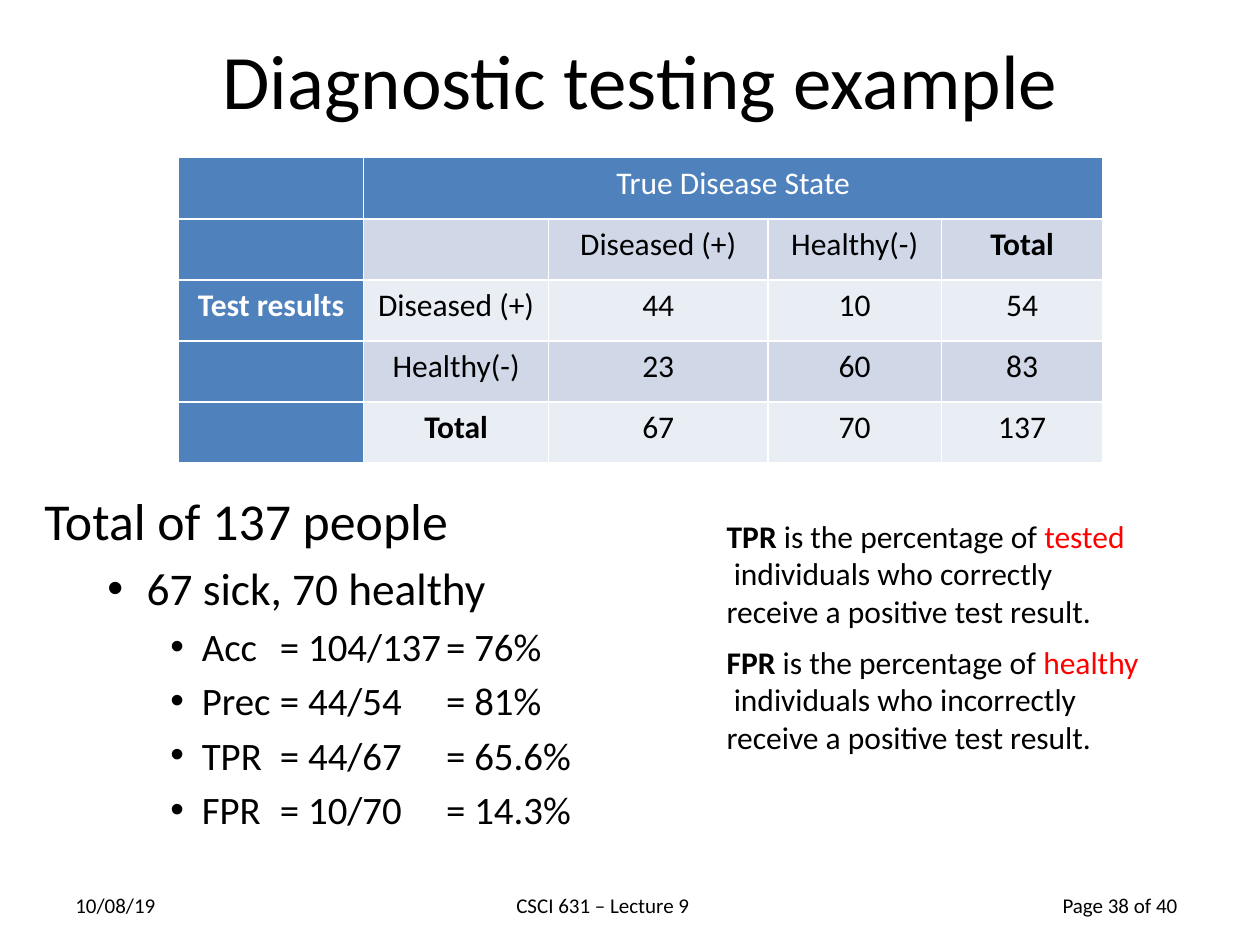
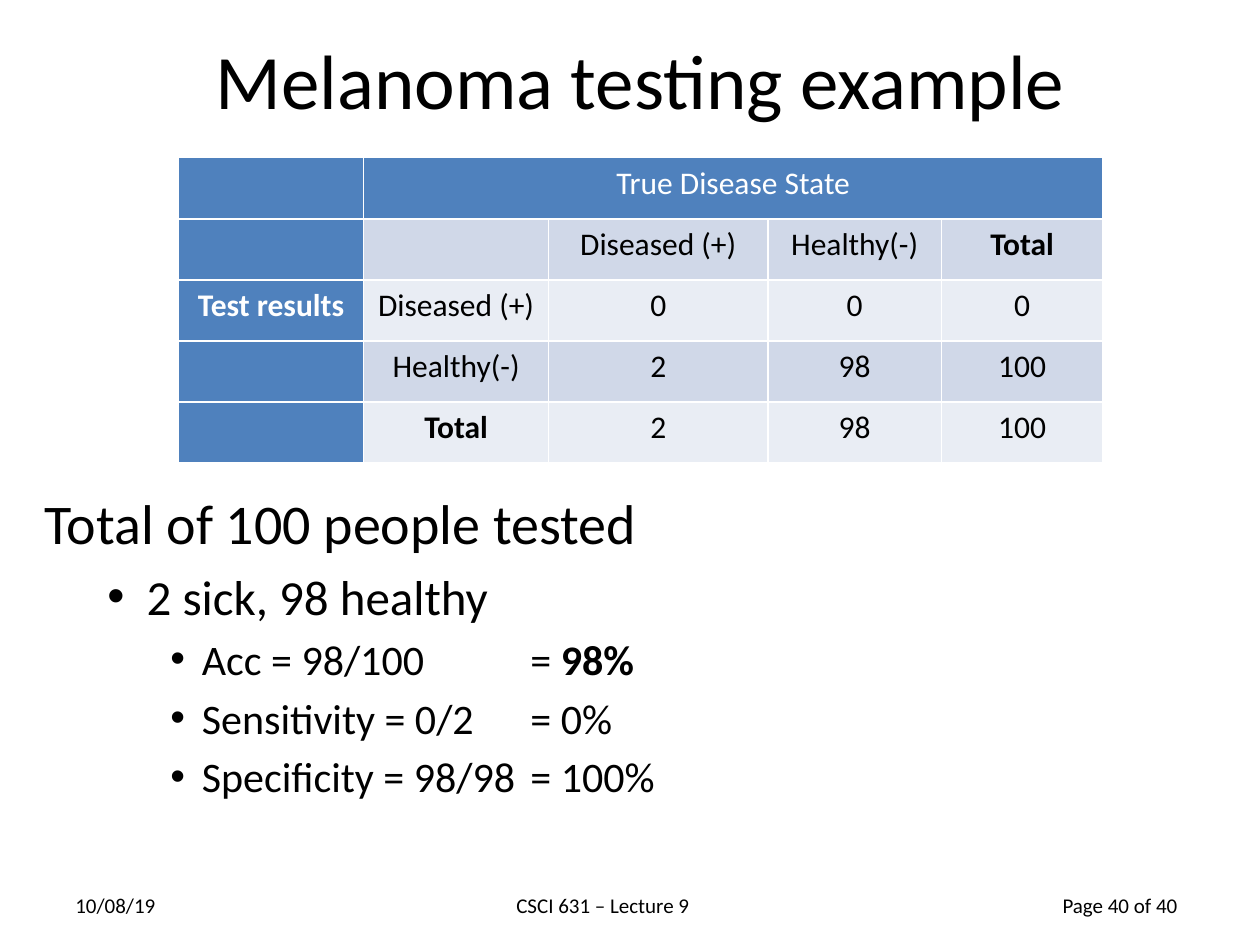
import pptx
import pptx.dml.color
import pptx.enum.text
import pptx.util
from lxml import etree
from pptx.oxml.ns import qn

Cm = pptx.util.Cm
Pt = pptx.util.Pt
CENTER = pptx.enum.text.PP_ALIGN.CENTER

FONT = "Calibri"
BLACK, WHITE, RED = "000000", "FFFFFF", "FF0000"
HEADER_BLUE = "4F81BD"
BANDS = ("D0D8E8", "E9EDF4")

COLUMN_WIDTHS = (3.73, 3.73, 4.42, 3.5, 3.25)
ROW_HEIGHT = 1.23
STATES = ("Diseased (+)", "Healthy(-)", "Total")
FOOTER_TOP = 17.86


def rgb(hex_colour):
    return pptx.dml.color.RGBColor.from_string(hex_colour)


def write(paragraph, text, size=18, colour=BLACK, bold=False, align=None):
    """Append one formatted run to the paragraph."""
    run = paragraph.add_run()
    run.text = text
    run.font.name = FONT
    run.font.size = Pt(size)
    run.font.bold = bold
    run.font.color.rgb = rgb(colour)
    if align is not None:
        paragraph.alignment = align


def place(shape, left, top, width, height):
    shape.left, shape.top = Cm(left), Cm(top)
    shape.width, shape.height = Cm(width), Cm(height)


def add_title(slide, text):
    title = slide.shapes.title
    place(title, 1.48, 0, 22.86, 3.18)
    write(title.text_frame.paragraphs[0], text, size=44, align=CENTER)


def add_label(slide, left, top, width, height, wrap=True):
    """Add an empty text box and return its text frame."""
    frame = slide.shapes.add_textbox(
        Cm(left), Cm(top), Cm(width), Cm(height)).text_frame
    frame.word_wrap = wrap
    return frame


def add_footer(slide, page):
    for left, width, text in ((1.27, 2.34, "10/08/19"),
                              (10.16, 4.01, "CSCI 631 – Lecture 9"),
                              (21.17, 2.97, f"Page {page} of 40")):
        frame = add_label(slide, left, FOOTER_TOP, width, 0.76)
        write(frame.paragraphs[0], text, size=12)


def add_confusion_table(slide, counts):
    """Add the test-result table; counts holds one row per test result."""
    rows = [("", "True Disease State", "", "", ""), ("", "", *STATES)]
    for state, row_counts in zip(STATES, counts):
        side = "Test results" if state == STATES[0] else ""
        rows.append((side, state, *row_counts))

    table = slide.shapes.add_table(
        len(rows), len(COLUMN_WIDTHS), Cm(3.6), Cm(3.18),
        Cm(sum(COLUMN_WIDTHS)), Cm(ROW_HEIGHT * len(rows))).table
    table.first_col = True
    for column, width in zip(table.columns, COLUMN_WIDTHS):
        column.width = Cm(width)
    for r, row in enumerate(rows):
        table.rows[r].height = Cm(ROW_HEIGHT)
        for c, value in enumerate(row):
            cell = table.cell(r, c)
            heading = r == 0 or c == 0
            cell.fill.solid()
            cell.fill.fore_color.rgb = rgb(
                HEADER_BLUE if heading else BANDS[(r - 1) % 2])
            if value != "":
                write(cell.text_frame.paragraphs[0], str(value),
                      colour=WHITE if heading else BLACK,
                      bold=value in ("Total", "Test results"), align=CENTER)
    table.cell(0, 1).merge(table.cell(0, 4))


def set_bullet(paragraph, char=None):
    properties = paragraph._p.get_or_add_pPr()
    if char:
        etree.SubElement(properties, qn("a:buChar"), char=char)
    else:
        properties.set("marL", "0")
        properties.set("indent", "0")
        etree.SubElement(properties, qn("a:buNone"))


def set_tabs(paragraph, stops):
    tabs = etree.SubElement(paragraph._p.get_or_add_pPr(), qn("a:tabLst"))
    for stop in stops:
        etree.SubElement(tabs, qn("a:tab"), pos=str(int(Cm(stop))), algn="l")


def add_summary(slide, height, sizes, total, split, metrics, tab_stops):
    """Fill the body; each metric is a list of (text, bold) runs."""
    body = slide.placeholders[1]
    place(body, 0.64, 9.73, 23.5, height)
    frame = body.text_frame
    frame.auto_size = pptx.enum.text.MSO_AUTO_SIZE.NONE
    lines = [(0, [(total, False)]), (1, [(split, False)])]
    lines += [(2, metric) for metric in metrics]
    for i, (level, runs) in enumerate(lines):
        paragraph = frame.add_paragraph() if i else frame.paragraphs[0]
        paragraph.level = level
        set_bullet(paragraph, "•" if level else None)
        if level == 2:
            set_tabs(paragraph, tab_stops)
        for text, bold in runs:
            write(paragraph, text, size=sizes[level], bold=bold)


def add_definition(slide, top, rate, group, outcome):
    frame = add_label(slide, 14.4, top, 8.9, 2.57, wrap=False)
    first = frame.paragraphs[0]
    write(first, f"{rate} ", bold=True)
    write(first, "is the percentage of ")
    write(first, group, colour=RED)
    for line in (f" individuals who {outcome}",
                 "receive a positive test result."):
        write(frame.add_paragraph(), line)


def add_example(deck, title, page, counts):
    slide = deck.slides.add_slide(deck.slide_layouts[1])
    add_footer(slide, page)
    add_title(slide, title)
    add_confusion_table(slide, counts)
    return slide


def main():
    deck = pptx.Presentation()
    deck.slide_width, deck.slide_height = Cm(25.4), Cm(19.05)

    diagnostic = add_example(deck, "Diagnostic testing example", 38,
                             ((44, 10, 54), (23, 60, 83), (67, 70, 137)))
    add_summary(diagnostic, 7.06, (29.6, 25.9, 22.2),
                "Total of 137 people", "67 sick, 70 healthy",
                [[("Acc\t= 104/137\t= 76%", False)],
                 [("Prec\t= 44/54\t= 81%", False)],
                 [("TPR\t= 44/67\t= 65.6%", False)],
                 [("FPR\t= 10/70\t= 14.3%", False)]],
                tab_stops=(4.75, 8.1))
    add_definition(diagnostic, 12.83, "FPR", "healthy", "incorrectly")
    add_definition(diagnostic, 10.29, "TPR", "tested", "correctly")

    melanoma = add_example(deck, "Melanoma testing example", 40,
                           ((0, 0, 0), (2, 98, 100), (2, 98, 100)))
    add_summary(melanoma, 8.05, (32, 28, 24),
                "Total of 100 people tested", "2 sick, 98 healthy",
                [[("Acc = 98/100\t= ", False), ("98%", True)],
                 [("Sensitivity = 0/2\t= 0%", False)],
                 [("Specificity = 98/98\t= 100%", False)]],
                tab_stops=(9.8,))

    deck.save("out.pptx")


if __name__ == "__main__":
    main()
